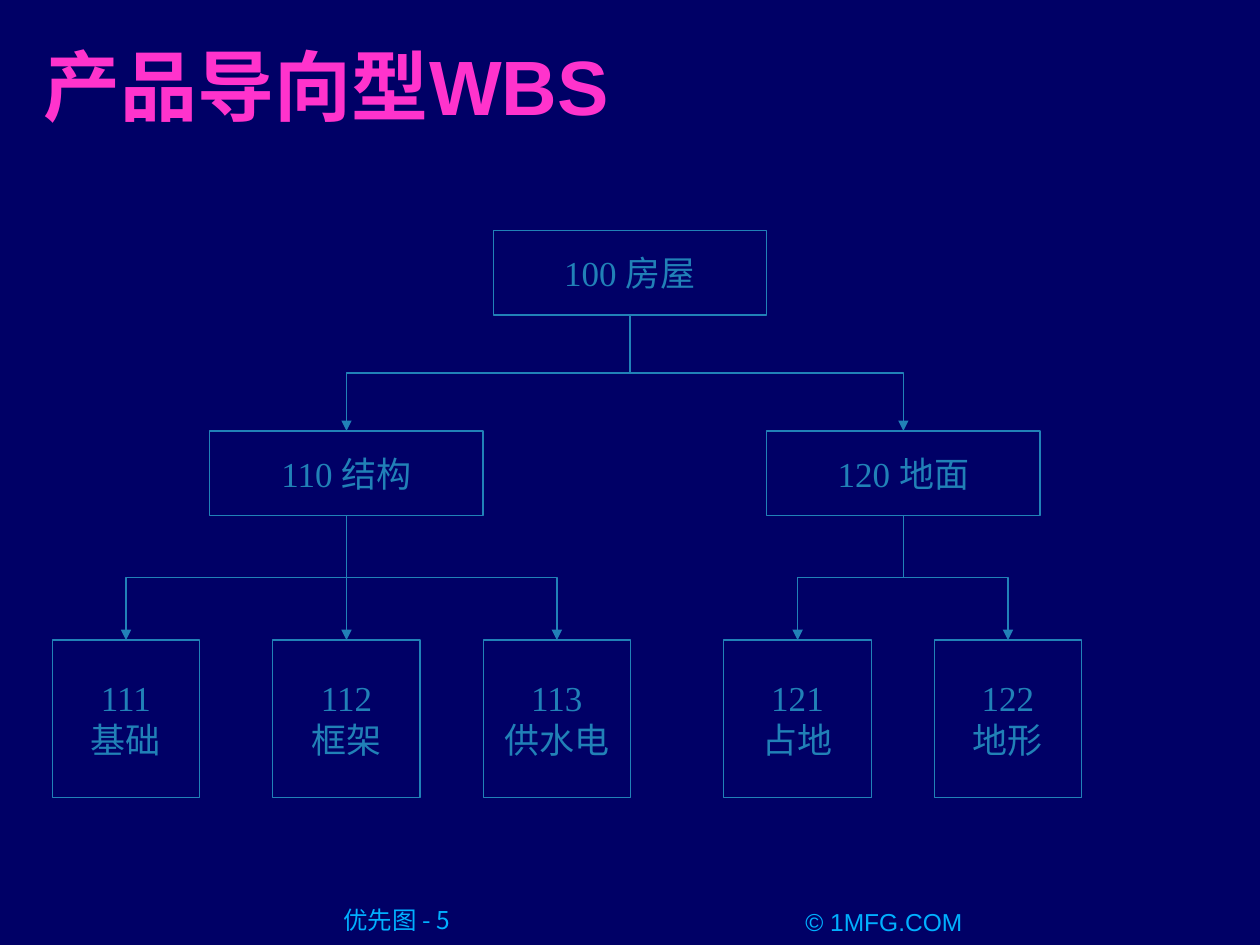
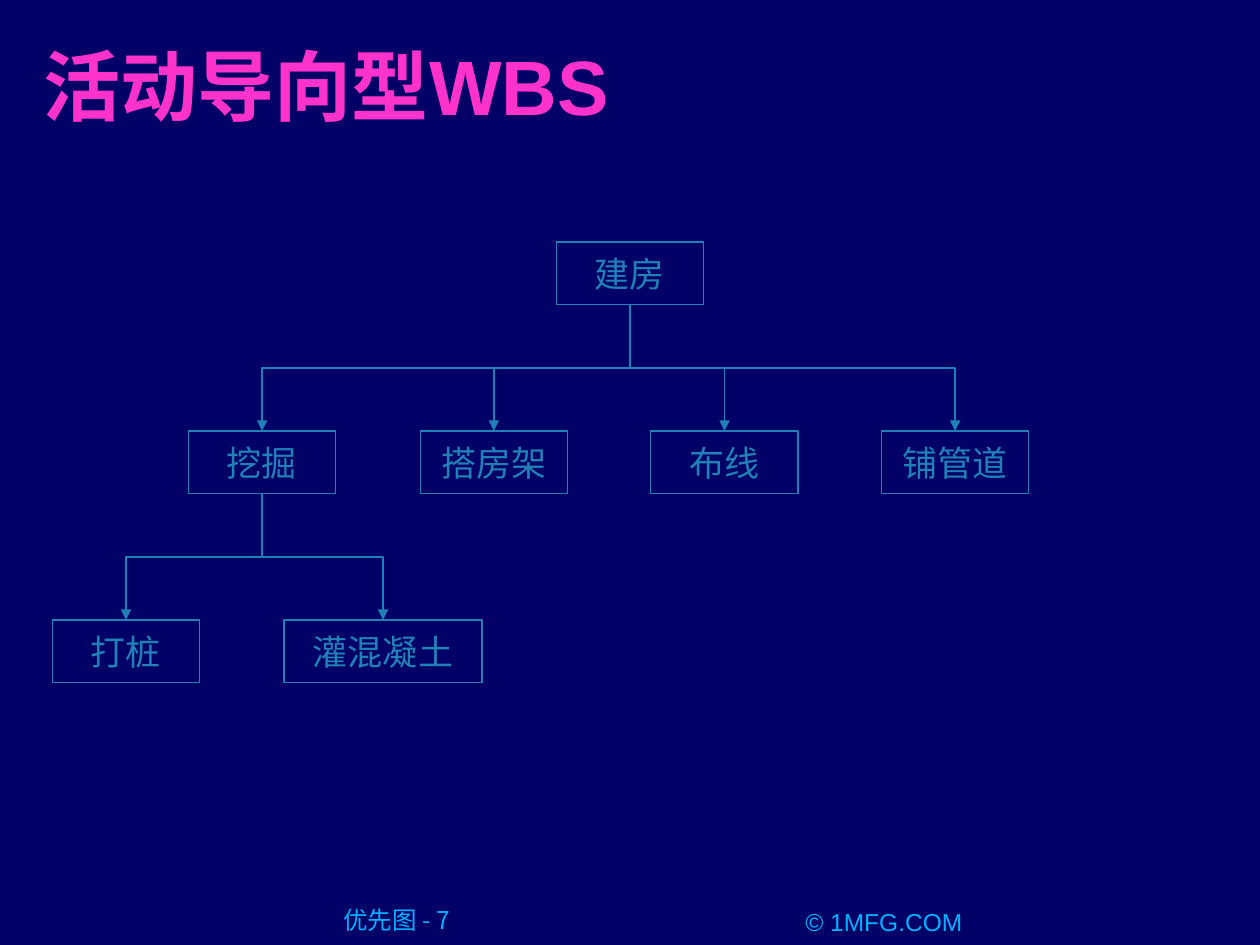
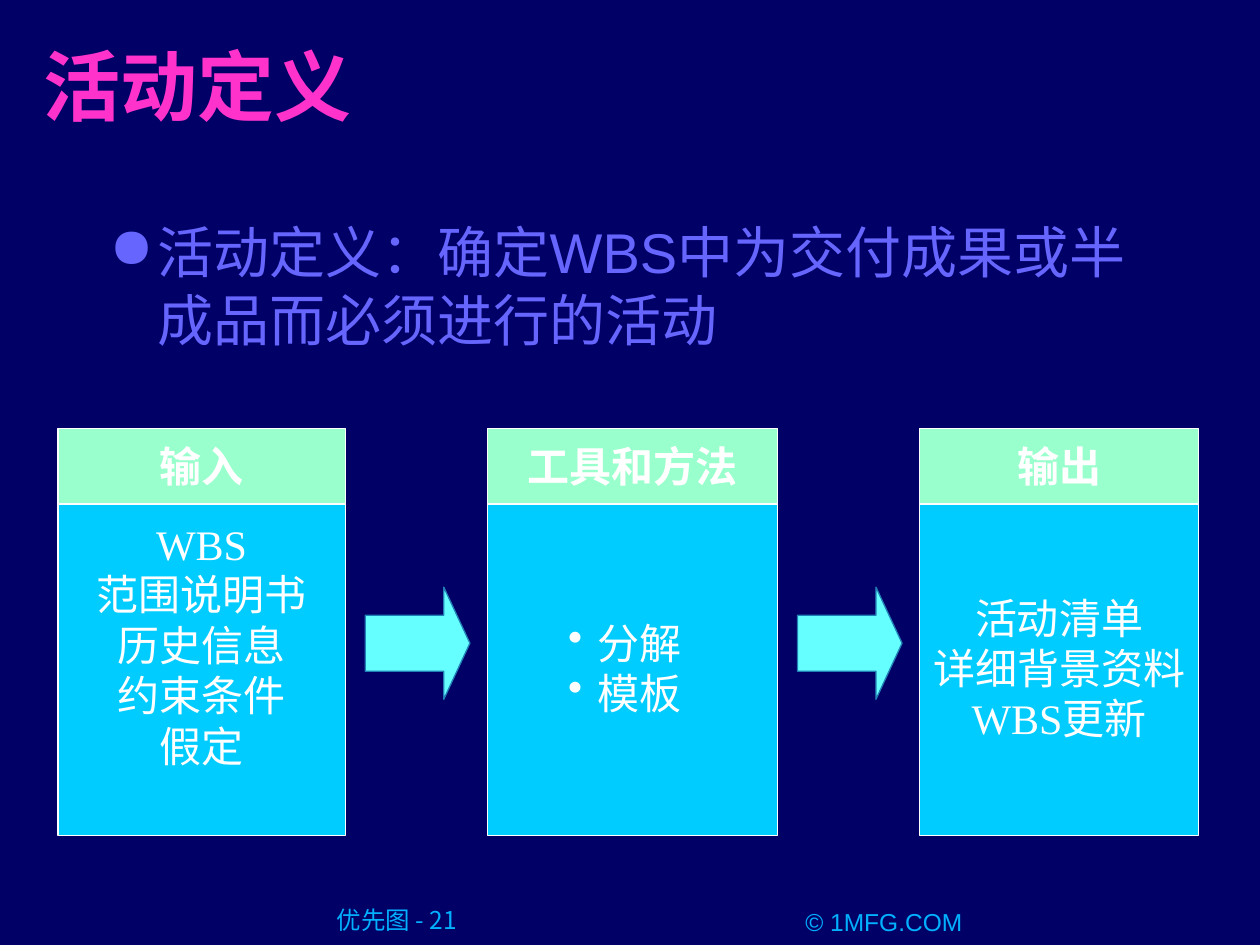
from dataclasses import dataclass

from lxml import etree
from pptx import Presentation
from pptx.dml.color import RGBColor
from pptx.enum.shapes import MSO_CONNECTOR, MSO_SHAPE
from pptx.enum.text import MSO_ANCHOR, PP_ALIGN
from pptx.oxml.ns import qn
from pptx.util import Inches, Pt

ELBOW, STRAIGHT = MSO_CONNECTOR.ELBOW, MSO_CONNECTOR.STRAIGHT
RECTANGLE, RIGHT_ARROW = MSO_SHAPE.RECTANGLE, MSO_SHAPE.RIGHT_ARROW
TOP, MIDDLE, BOTTOM = MSO_ANCHOR.TOP, MSO_ANCHOR.MIDDLE, MSO_ANCHOR.BOTTOM
LEFT, CENTER = PP_ALIGN.LEFT, PP_ALIGN.CENTER
BOTTOM_SITE, TOP_SITE = 2, 0

COLORS = {
    "background": "000066",
    "title": "FF33CC",
    "footer": "01B0FF",
    "outline": "2181B7",
    "body": "6666FF",
    "header": "99FFCC",
    "panel": "00CCFF",
    "arrow": "66FFFF",
    "white": "FFFFFF",
}
SANS, SERIF, CJK = "Arial", "Times New Roman", "Noto Sans CJK JP"


@dataclass
class Node:
    """A box of a tree; centre is measured from the left of the tree."""
    label: str
    centre: float
    children: tuple = ()
    width: float = 0


@dataclass
class Level:
    top: float
    width: float
    height: float


def rgb(name):
    return RGBColor.from_string(COLORS[name])


def add_bullet(paragraph, char, color, hang=0):
    properties = paragraph._p.get_or_add_pPr()
    if hang:
        properties.set("marL", str(Inches(hang)))
        properties.set("indent", str(-Inches(hang)))
    bullet_color = etree.SubElement(properties, qn("a:buClr"))
    etree.SubElement(bullet_color, qn("a:srgbClr"), val=COLORS[color])
    etree.SubElement(properties, qn("a:buChar"), char=char)


def write(shape, text, size, color, font, bold=False, align=CENTER, anchor=MIDDLE,
          wrap=False, margins=(0.1, 0.05, 0.1, 0.05), bullet="", hang=0):
    """Fill a shape with one paragraph for each line of text."""
    frame = shape.text_frame
    frame.word_wrap = wrap
    frame.vertical_anchor = anchor
    (frame.margin_left, frame.margin_top,
     frame.margin_right, frame.margin_bottom) = map(Inches, margins)
    frame.text = text
    for paragraph in frame.paragraphs:
        paragraph.alignment = align
        if bullet:
            add_bullet(paragraph, bullet, color, hang)
        paragraph.font.size = Pt(size)
        paragraph.font.name = font
        paragraph.font.bold = bold
        paragraph.font.color.rgb = rgb(color)


def add_text(slide, box, text, size, color, font, **style):
    label = slide.shapes.add_textbox(*map(Inches, box))
    write(label, text, size, color, font, wrap=True, **style)


def add_block(slide, box, outline, fill=None, kind=RECTANGLE):
    block = slide.shapes.add_shape(kind, *map(Inches, box))
    block.shadow.inherit = False
    if fill:
        block.fill.solid()
        block.fill.fore_color.rgb = rgb(fill)
    else:
        block.fill.background()
    block.line.color.rgb = rgb(outline)
    block.line.width = Pt(0.75)
    return block


def add_branch(slide, parent, child):
    """Join the bottom of parent to the top of child with an arrow."""
    x1, y1 = parent.left + parent.width // 2, parent.top + parent.height
    x2, y2 = child.left + child.width // 2, child.top
    bent = abs(x2 - x1) > Inches(0.05)
    branch = slide.shapes.add_connector(ELBOW if bent else STRAIGHT, x1, y1, x2, y2)
    branch.begin_connect(parent, BOTTOM_SITE)
    branch.end_connect(child, TOP_SITE)
    properties = branch._element.spPr
    if bent:
        # A vertical elbow is a horizontal one turned by a quarter.
        drop, reach = y2 - y1, abs(x2 - x1)
        branch.left, branch.top = (x1 + x2 - drop) // 2, (y1 + y2 - reach) // 2
        branch.width, branch.height = drop, reach
        frame = properties.find(qn("a:xfrm"))
        frame.set("rot", "16200000" if x2 > x1 else "5400000")
        frame.set("flipH", "1" if x2 > x1 else "0")
    branch.line.color.rgb = rgb("outline")
    branch.line.width = Pt(0.75)
    etree.SubElement(properties.find(qn("a:ln")), qn("a:tailEnd"), type="triangle")
    etree.SubElement(properties, qn("a:effectLst"))


def add_tree(slide, left, top, node, levels):
    """Draw node and all below it, and return the box of node."""
    level = levels[0]
    width = node.width or level.width
    box = (left + node.centre - width / 2, top + level.top, width, level.height)
    block = add_block(slide, box, "outline")
    write(block, node.label, 20, "outline", SERIF)
    for child in node.children:
        add_branch(slide, block, add_tree(slide, left, top, child, levels[1:]))
    return block


def add_process(slide, left, top, columns):
    """Draw headed panels from left to right with arrows in the gaps."""
    gap, header_height, panel_top, panel_height = 1.13, 0.6, 0.57, 2.66
    for index, (heading, items, width, style) in enumerate(columns):
        panel = add_block(slide, (left, top + panel_top, width, panel_height),
                          "white", "panel")
        write(panel, items, 24, "white", SERIF, **style)
        header = add_block(slide, (left, top, width, header_height), "white", "header")
        write(header, heading, 24, "white", SERIF, bold=True)
        left += width
        if index < len(columns) - 1:
            arrow = add_block(slide, (left + 0.16, top + 1.26, 0.83, 0.89),
                              "outline", "arrow", RIGHT_ARROW)
            arrow.adjustments[0], arrow.adjustments[1] = 0.5, 0.25
        left += gap


def new_slide(deck, title, number):
    slide = deck.slides.add_slide(deck.slide_layouts[6])
    slide.background.fill.solid()
    slide.background.fill.fore_color.rgb = rgb("background")
    add_text(slide, (2.01, 7.18, 2.08, 0.27), f"优先图 - {number}", 14, "footer", CJK,
             anchor=TOP, margins=(0.2, 0, 0, 0))
    add_text(slide, (5.89, 7.2, 2.25, 0.23), "© 1MFG.COM", 14, "footer", SANS,
             anchor=TOP, margins=(0, 0, 0, 0))
    add_text(slide, (0.25, 0.25, 9.5, 0.84), title, 44, "title", SANS,
             bold=True, align=LEFT, anchor=BOTTOM)
    return slide


def product_slide(deck):
    house = Node("100 房屋", 4.58, (
        Node("110 结构", 2.33, (
            Node("111\n基础", 0.58),
            Node("112\n框架", 2.33),
            Node("113\n供水电", 4.0))),
        Node("120 地面", 6.75, (
            Node("121\n占地", 5.91),
            Node("122\n地形", 7.58)))))
    levels = [Level(0, 2.17, 0.67), Level(1.59, 2.17, 0.67), Level(3.25, 1.17, 1.25)]
    add_tree(new_slide(deck, "产品导向型WBS", 5), 0.42, 1.83, house, levels)


def activity_slide(deck):
    digging = (Node("打桩", 0.58), Node("灌混凝土", 2.62, width=1.57))
    building = Node("建房", 4.58, (
        Node("挖掘", 1.66, digging),
        Node("搭房架", 3.5),
        Node("布线", 5.33),
        Node("铺管道", 7.16)))
    levels = [Level(1.5 * depth, 1.17, 0.5) for depth in range(3)]
    add_tree(new_slide(deck, "活动导向型WBS", 7), 0.42, 1.92, building, levels)


def definition_slide(deck):
    slide = new_slide(deck, "活动定义", 21)
    add_text(slide, (0.77, 1.68, 8.5, 1.25),
             "活动定义：确定WBS中为交付成果或半成品而必须进行的活动", 32, "body", SANS,
             align=LEFT, anchor=TOP, bullet="●", hang=0.38)
    add_process(slide, 0.46, 3.4, [
        ("输入", "WBS\n范围说明书\n历史信息\n约束条件\n假定", 2.28,
         {"margins": (0.1, 0.05, 0.1, 0.42)}),
        ("工具和方法", "分解\n模板", 2.3, {"bullet": "•"}),
        ("输出", "活动清单\n详细背景资料\nWBS更新", 2.21, {}),
    ])


def main():
    deck = Presentation()
    deck.slide_width, deck.slide_height = Inches(10), Inches(7.5)
    product_slide(deck)
    activity_slide(deck)
    definition_slide(deck)
    deck.save("out.pptx")


if __name__ == "__main__":
    main()
